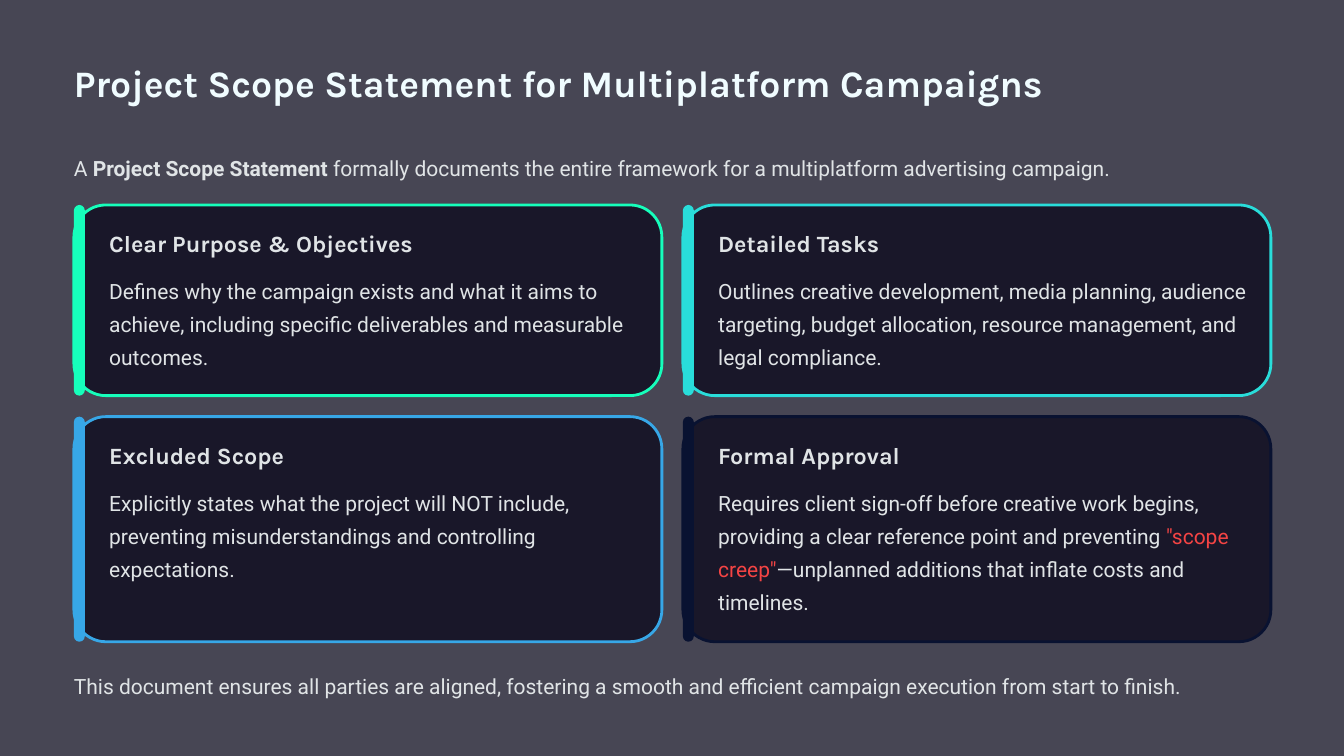
from dataclasses import dataclass

import lxml.etree
import pptx
import pptx.dml.color
import pptx.enum.shapes
import pptx.enum.text
import pptx.oxml.ns
import pptx.shapes.autoshape
import pptx.slide
import pptx.text.text
import pptx.util

Inches = pptx.util.Inches
Pt = pptx.util.Pt

COLORS = {
    "background": "474654",
    "panel": "0A081B",
    "title": "F0FCFF",
    "text": "E0E4E6",
    "warning": "F44444",
    "green": "16FFBB",
    "cyan": "29DDDA",
    "blue": "37A7E7",
    "navy": "091231",
}
PANEL_OPACITY = 75
MARGIN = 0.88
CONTENT_WIDTH = 14.24
CARD_WIDTH = 7
CARD_GAP = 0.25
CARDS_TOP = 2.44
ROW_HEIGHTS = (2.27, 2.68)
CORNER_RADIUS = 0.38
BAR_WIDTH = 0.13
TEXT_INSET = 0.42


@dataclass(frozen=True)
class Style:
    font: str
    size: float
    line_spacing: float
    color: str = "text"
    bold: bool = False


@dataclass(frozen=True)
class Span:
    text: str
    color: str | None = None
    bold: bool = False


@dataclass(frozen=True)
class Card:
    heading: str
    description: tuple[Span, ...]
    accent: str


TITLE = Style("Karla", 32, 40, "title", True)
HEADING = Style("Karla", 20, 25, bold=True)
BODY = Style("Roboto", 18, 28.5)

INTRO = (
    Span("A "),
    Span("Project Scope Statement", bold=True),
    Span(" formally documents the entire framework for a multiplatform advertising campaign."),
)
CLOSING = (
    Span("This document ensures all parties are aligned, fostering a smooth and efficient "
         "campaign execution from start to finish."),
)
CARDS = (
    Card("Clear Purpose & Objectives", (
        Span("Defines why the campaign exists and what it aims to achieve, including "
             "specific deliverables and measurable outcomes."),
    ), "green"),
    Card("Detailed Tasks", (
        Span("Outlines creative development, media planning, audience targeting, budget "
             "allocation, resource management, and legal compliance."),
    ), "cyan"),
    Card("Excluded Scope", (
        Span("Explicitly states what the project will NOT include, preventing "
             "misunderstandings and controlling expectations."),
    ), "blue"),
    Card("Formal Approval", (
        Span("Requires client sign-off before creative work begins, providing a clear "
             "reference point and preventing "),
        Span('"scope creep"', color="warning"),
        Span("—unplanned additions that inflate costs and timelines."),
    ), "navy"),
)


def rgb(name: str) -> pptx.dml.color.RGBColor:
    return pptx.dml.color.RGBColor.from_string(COLORS[name])


def write(frame: pptx.text.text.TextFrame, spans: tuple[Span, ...], style: Style) -> None:
    """Fill a frame with one left-aligned paragraph and no inner margins."""
    frame.margin_left = frame.margin_top = frame.margin_right = frame.margin_bottom = 0
    frame.word_wrap = True
    frame.auto_size = pptx.enum.text.MSO_AUTO_SIZE.NONE
    frame.vertical_anchor = pptx.enum.text.MSO_ANCHOR.TOP
    paragraph = frame.paragraphs[0]
    paragraph.alignment = pptx.enum.text.PP_ALIGN.LEFT
    paragraph.line_spacing = Pt(style.line_spacing)
    paragraph.space_before = Pt(0)
    for span in spans:
        run = paragraph.add_run()
        run.text = span.text
        run.font.name = style.font
        run.font.size = Pt(style.size)
        run.font.bold = style.bold or span.bold
        run.font.color.rgb = rgb(span.color or style.color)


def add_text(slide: pptx.slide.Slide, left: float, top: float, width: float, height: float,
             spans: tuple[Span, ...], style: Style) -> None:
    box = slide.shapes.add_textbox(Inches(left), Inches(top), Inches(width), Inches(height))
    write(box.text_frame, spans, style)


def add_rounded(slide: pptx.slide.Slide, left: float, top: float, width: float, height: float,
                radius: float, fill: str) -> pptx.shapes.autoshape.Shape:
    rounded = slide.shapes.add_shape(
        pptx.enum.shapes.MSO_SHAPE.ROUNDED_RECTANGLE,
        Inches(left), Inches(top), Inches(width), Inches(height))
    rounded.adjustments[0] = radius / min(width, height)
    rounded.shadow.inherit = False
    rounded.fill.solid()
    rounded.fill.fore_color.rgb = rgb(fill)
    rounded.line.fill.background()
    return rounded


def set_fill_opacity(shape: pptx.shapes.autoshape.Shape, percent: int) -> None:
    qn = pptx.oxml.ns.qn
    color = shape.fill._xPr.find(qn("a:solidFill")).find(qn("a:srgbClr"))
    lxml.etree.SubElement(color, qn("a:alpha"), val=str(percent * 1000))


def add_card(slide: pptx.slide.Slide, card: Card, left: float, top: float, height: float) -> None:
    panel = add_rounded(slide, left, top, CARD_WIDTH, height, CORNER_RADIUS, "panel")
    set_fill_opacity(panel, PANEL_OPACITY)
    panel.line.color.rgb = rgb(card.accent)
    panel.line.width = Pt(2.4)
    add_rounded(slide, left, top, BAR_WIDTH, height, BAR_WIDTH / 2, card.accent)
    text_left, text_width = left + TEXT_INSET, 6.29
    add_text(slide, text_left, top + 0.28, text_width, 0.35, (Span(card.heading),), HEADING)
    add_text(slide, text_left, top + 0.78, text_width, height - 1.06, card.description, BODY)


def main() -> None:
    deck = pptx.Presentation()
    deck.slide_width, deck.slide_height = Inches(16), Inches(9)
    slide = deck.slides.add_slide(deck.slide_layouts.get_by_name("Title Only"))
    slide.background.fill.solid()
    slide.background.fill.fore_color.rgb = rgb("background")

    title = slide.shapes.title
    title.left, title.top = Inches(MARGIN), Inches(0.69)
    title.width, title.height = Inches(CONTENT_WIDTH), Inches(0.56)
    write(title.text_frame, (Span("Project Scope Statement for Multiplatform Campaigns"),), TITLE)

    add_text(slide, MARGIN, 1.75, CONTENT_WIDTH, 0.4, INTRO, BODY)
    for index, card in enumerate(CARDS):
        row, column = divmod(index, 2)
        left = MARGIN + column * (CARD_WIDTH + CARD_GAP)
        top = CARDS_TOP + sum(ROW_HEIGHTS[:row]) + row * CARD_GAP
        add_card(slide, card, left, top, ROW_HEIGHTS[row])
    add_text(slide, MARGIN, 7.92, CONTENT_WIDTH, 0.4, CLOSING, BODY)

    deck.save("out.pptx")


if __name__ == "__main__":
    main()
